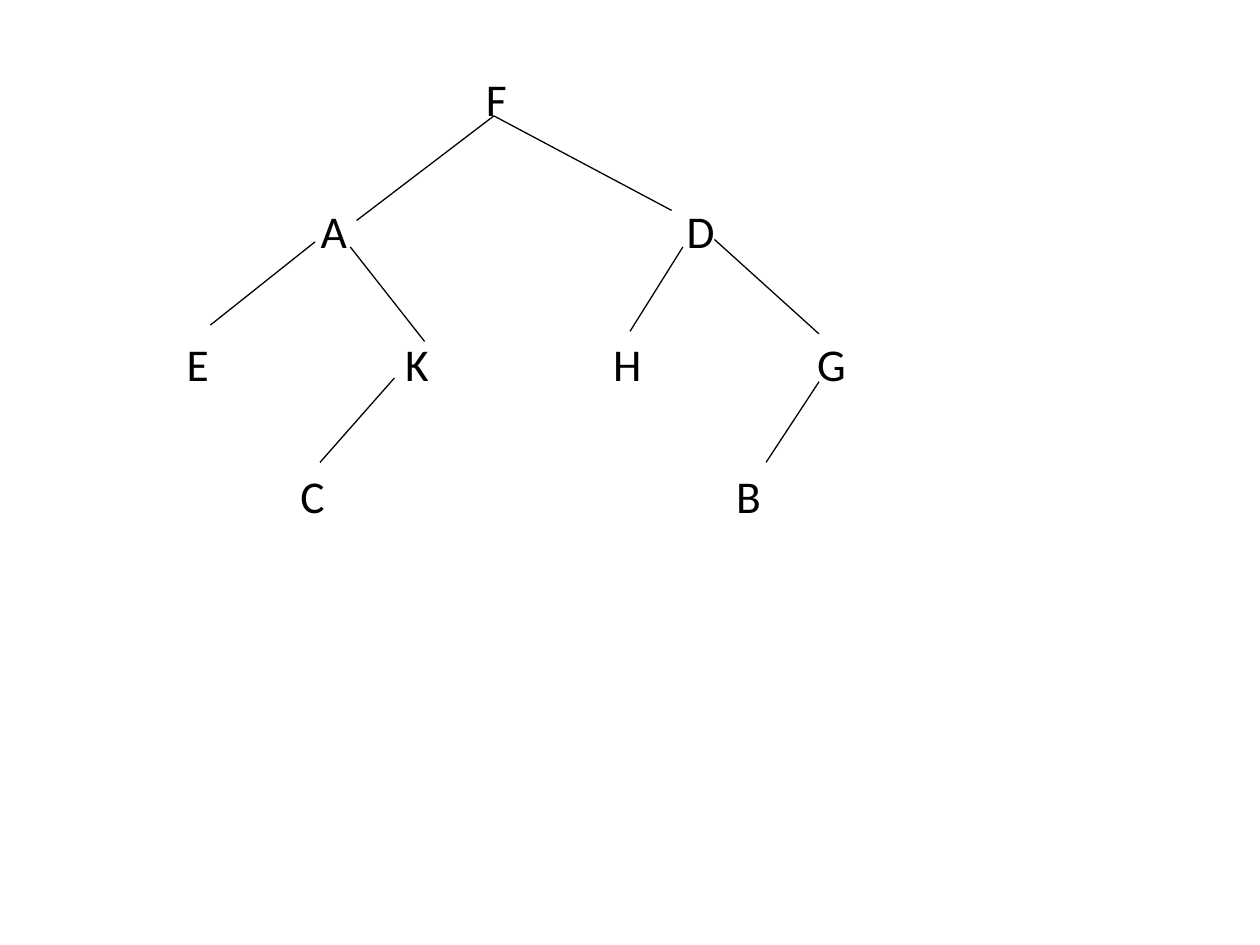
"""Draw a binary tree of lettered nodes on one slide."""
import typing

import pptx
import pptx.dml.color
import pptx.enum.shapes
import pptx.enum.text
import pptx.oxml.ns
import pptx.util
from lxml import etree

COLUMNS, ROWS = 10, 7.5
CELL = pptx.util.Inches(1)
FIRST_LEVEL, LEVEL_STEP = 0.78, 1.05
NODE_SIZE = 0.5
INK = "000000"


class Node(typing.NamedTuple):
    """A letter, its centre column and its level in the tree."""
    letter: str
    column: float
    level: int


class Edge(typing.NamedTuple):
    """A branch between two points given in columns and rows."""
    x1: float
    y1: float
    x2: float
    y2: float


NODES = [
    Node("F", 3.94, 0),
    Node("A", 2.65, 1), Node("D", 5.56, 1),
    Node("E", 1.57, 2), Node("K", 3.31, 2), Node("H", 4.98, 2), Node("G", 6.6, 2),
    Node("C", 2.48, 3), Node("B", 5.94, 3),
]
EDGES = [
    Edge(3.92, 0.92, 2.83, 1.75), Edge(3.92, 0.92, 5.33, 1.67),
    Edge(2.5, 1.92, 1.67, 2.58), Edge(2.78, 1.96, 3.37, 2.71),
    Edge(5.42, 1.96, 5, 2.63), Edge(5.67, 1.9, 6.5, 2.65),
    Edge(3.13, 3, 2.54, 3.67), Edge(6.5, 3.03, 6.08, 3.67),
]


def cells(count: float) -> int:
    """Convert a number of grid cells to a length."""
    return round(count * CELL)


def colour(value: str) -> pptx.dml.color.RGBColor:
    """Convert a hex string to a colour."""
    return pptx.dml.color.RGBColor.from_string(value)


def draw_node(s, node: Node) -> None:
    """Draw a letter centred on its grid position."""
    row = FIRST_LEVEL + node.level * LEVEL_STEP
    sp = s.shapes.add_textbox(cells(node.column - NODE_SIZE / 2), cells(row - NODE_SIZE / 2),
                              cells(NODE_SIZE), cells(NODE_SIZE))
    tf = sp.text_frame
    tf.word_wrap = True
    tf.margin_left = tf.margin_right = tf.margin_top = tf.margin_bottom = 0
    tf.vertical_anchor = pptx.enum.text.MSO_ANCHOR.MIDDLE
    p = tf.paragraphs[0]
    p.alignment = pptx.enum.text.PP_ALIGN.CENTER
    r = p.add_run()
    r.text = node.letter
    r.font.name = "Calibri"
    r.font.size = pptx.util.Pt(26)
    r.font.color.rgb = colour(INK)


def draw_edge(s, edge: Edge) -> None:
    """Draw a thin straight branch without a shadow."""
    sp = s.shapes.add_connector(pptx.enum.shapes.MSO_CONNECTOR.STRAIGHT, *map(cells, edge))
    sp.line.color.rgb = colour(INK)
    sp.line.width = pptx.util.Pt(0.75)
    etree.SubElement(sp._element.spPr, pptx.oxml.ns.qn("a:effectLst"))


def main() -> None:
    """Build and save the slide."""
    prs = pptx.Presentation()
    prs.slide_width, prs.slide_height = cells(COLUMNS), cells(ROWS)
    s = prs.slides.add_slide(prs.slide_layouts[6])
    for node in NODES:
        draw_node(s, node)
    for edge in EDGES:
        draw_edge(s, edge)
    prs.save("out.pptx")


if __name__ == "__main__":
    main()
